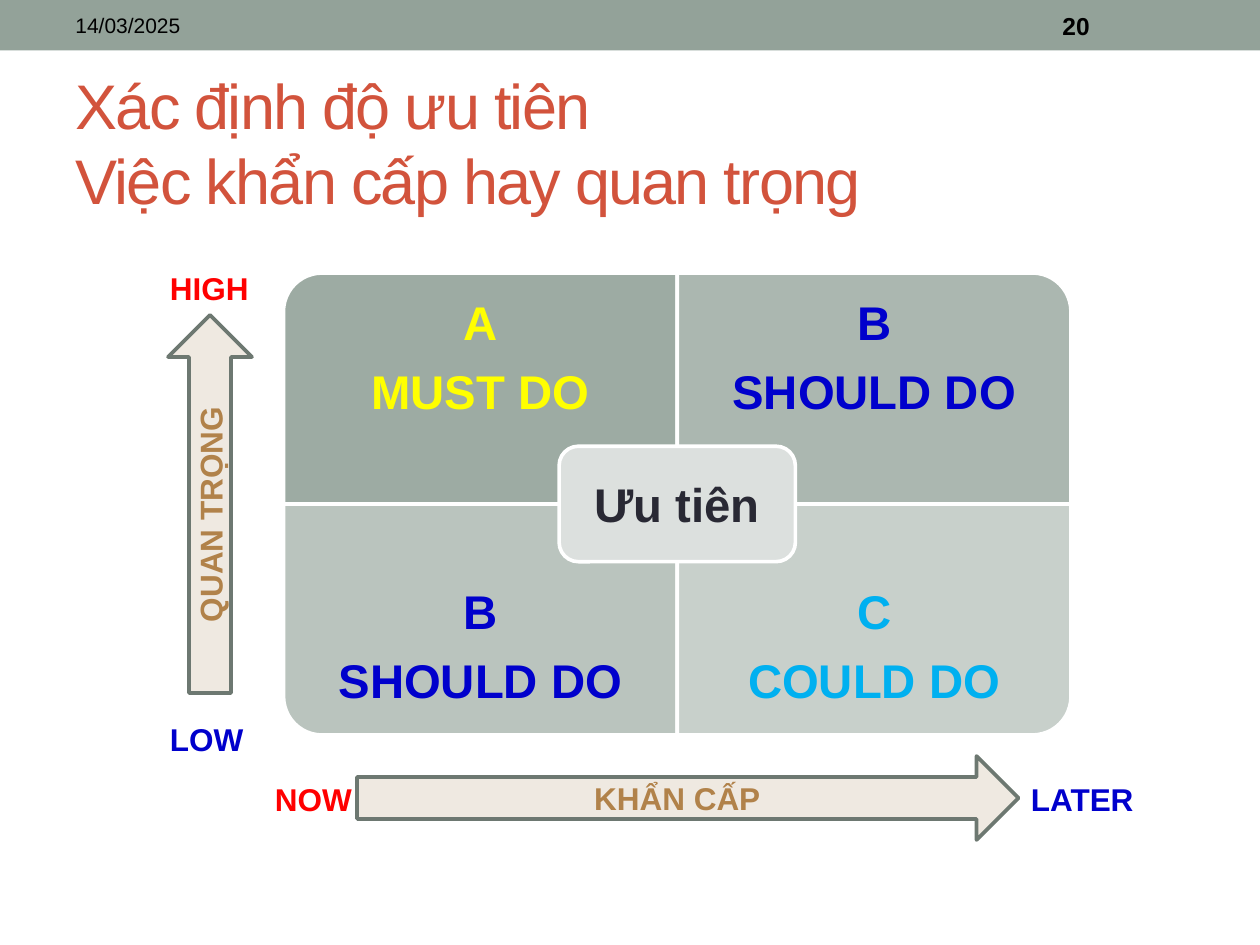
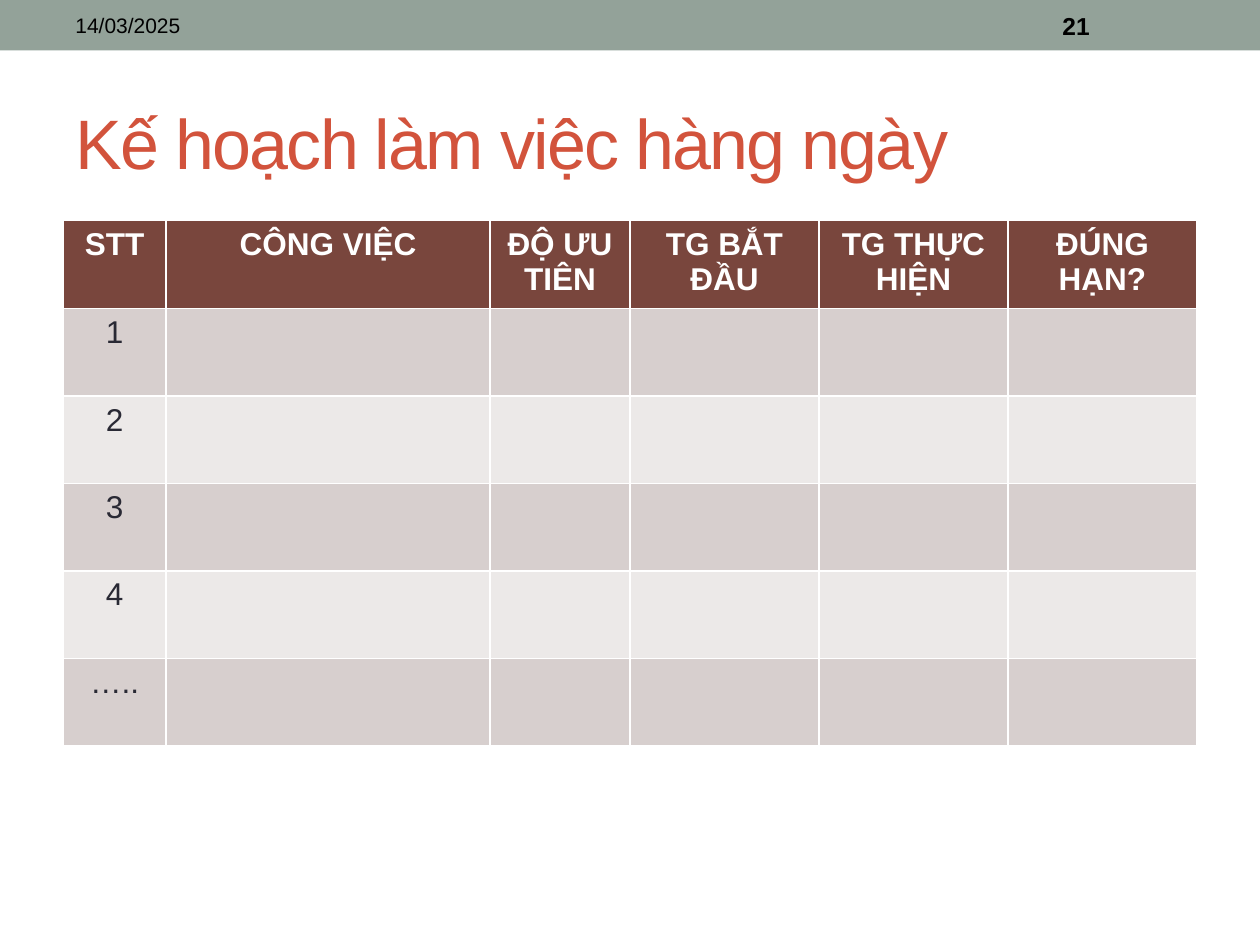
from lxml.etree import SubElement
from pptx import Presentation
from pptx.dml.color import RGBColor
from pptx.enum.shapes import MSO_SHAPE
from pptx.enum.text import MSO_ANCHOR, MSO_AUTO_SIZE, PP_ALIGN
from pptx.oxml.ns import qn
from pptx.util import Pt

SAGE, RUST, WHITE, BLACK, INK = "93A299", "D2533C", "FFFFFF", "000000", "292934"
RED, BLUE, SKY, YELLOW = "FF0000", "0000CC", "00B0F0", "FFFF00"
SAND, BROWN, SLATE, MIST = "EFE9E1", "B1824A", "6D7871", "DCE0DE"
HEAD, BANDS = "79463D", ["ECE9E8", "D7CFCE"]
LEFT, MID = PP_ALIGN.LEFT, PP_ALIGN.CENTER
TOP, CORE = MSO_ANCHOR.TOP, MSO_ANCHOR.MIDDLE


def paint(fill, tone, alpha=None):
    fill.solid()
    fill.fore_color.rgb = RGBColor.from_string(tone)
    if alpha:
        node = fill._xPr.find(qn("a:solidFill"))[0]
        SubElement(node, qn("a:alpha")).set("val", str(alpha * 1000))


def write(frame, lines, tone, size, bold=False, align=LEFT, anchor=CORE, form={}):
    frame.word_wrap = True
    frame.vertical_anchor = anchor
    for i, line in enumerate(lines):
        para = frame.add_paragraph() if i else frame.paragraphs[0]
        para.text = line
        para.alignment = align
        for key, val in form.items():
            setattr(para, key, val)
        for run in para.runs:
            for key, val in {"name": "Arial", "size": Pt(size), "bold": bold}.items():
                setattr(run.font, key, val)
            paint(run.font.fill, tone)


deck = Presentation()
deck.slide_width, deck.slide_height = Pt(720), Pt(540)

titles = [
    (20, "Xác định độ ưu tiên\vViệc khẩn cấp hay quan trọng", 36),
    (21, "Kế hoạch làm việc hàng ngày", 40),
]
for page, text, size in titles:
    slide = deck.slides.add_slide(deck.slide_layouts[5])
    band = slide.shapes.add_shape(MSO_SHAPE.RECTANGLE, 0, 0, Pt(720), Pt(28.8))
    band.shadow.inherit = False
    paint(band.fill, SAGE)
    band.line.fill.background()

    title = slide.shapes.title
    spot = {"left": Pt(36), "top": Pt(42), "width": Pt(648), "height": Pt(78)}
    for key, val in spot.items():
        setattr(title, key, val)
    write(title.text_frame, [text], RUST, size)
    title.text_frame.auto_size = MSO_AUTO_SIZE.NONE
    for run in title.text_frame.paragraphs[0].runs:
        run._r.get_or_add_rPr().set("spc", "-100")

    for left, width, text, size, bold in [
        (36, 228, "14/03/2025", 12, False),
        (600, 84, str(page), 14, True),
    ]:
        box = slide.shapes.add_textbox(Pt(left), Pt(1.5), Pt(width), Pt(26))
        write(box.text_frame, [text], BLACK, size, bold)

grid, plan = deck.slides

wide, high, midx, midy = 225, 132, 387, 288
tight = {"line_spacing": 0.9, "space_after": Pt(10)}
quads = [
    (-1, -1, 270, 90, "A", "MUST DO", YELLOW),
    (1, -1, 0, 77, "B", "SHOULD DO", BLUE),
    (-1, 1, 180, 63, "B", "SHOULD DO", BLUE),
    (1, 1, 90, 50, "C", "COULD DO", SKY),
]
for dx, dy, turn, alpha, mark, text, tone in quads:
    cx, cy = midx + dx * wide / 2, midy + dy * high / 2
    w, h = (high, wide) if turn in (90, 270) else (wide, high)
    quad = grid.shapes.add_shape(
        MSO_SHAPE.ROUND_1_RECTANGLE, Pt(cx - w / 2), Pt(cy - h / 2), Pt(w), Pt(h))
    quad.rotation = turn
    quad.shadow.inherit = False
    paint(quad.fill, SAGE, alpha)
    paint(quad.line.fill, WHITE)
    quad.line.width = Pt(2.08)
    top = midy - high if dy < 0 else midy + high - 99
    box = grid.shapes.add_textbox(Pt(cx - wide / 2), Pt(top), Pt(wide), Pt(99))
    write(box.text_frame, [mark, text], tone, 27, True, MID, form=tight)

parts = [
    (MSO_SHAPE.ROUNDED_RECTANGLE, 319.5, 255, 135, 66, 0, MIST, WHITE, "Ưu tiên", INK, 27),
    (MSO_SHAPE.RIGHT_ARROW, 12, 264, 216, 48, 270, SAND, SLATE, "QUAN TRỌNG", BROWN, 18),
    (MSO_SHAPE.RIGHT_ARROW, 204, 432, 378, 48, 0, SAND, SLATE, "KHẨN CẤP", BROWN, 18),
]
for kind, x, y, w, h, turn, fill, edge, text, tone, size in parts:
    part = grid.shapes.add_shape(kind, Pt(x), Pt(y), Pt(w), Pt(h))
    part.rotation = turn
    part.shadow.inherit = False
    paint(part.fill, fill)
    paint(part.line.fill, edge)
    part.line.width = Pt(2.08)
    write(part.text_frame, [text], tone, size, True, MID)

for x, y, w, text, tone in [
    (150, 442, 66, "NOW", RED),
    (582, 442, 84, "LATER", BLUE),
    (90, 408, 66, "LOW", BLUE),
    (90, 150, 66, "HIGH", RED),
]:
    box = grid.shapes.add_textbox(Pt(x), Pt(y), Pt(w), Pt(29))
    write(box.text_frame, [text], tone, 18, True, anchor=TOP)

heads = ["STT", "CÔNG VIỆC", "ĐỘ ƯU TIÊN", "TG BẮT ĐẦU", "TG THỰC HIỆN", "ĐÚNG HẠN?"]
marks = ["1", "2", "3", "4", "….."]
rows = [heads] + [[mark] + [""] * 5 for mark in marks]
table = plan.shapes.add_table(6, 6, Pt(36), Pt(126), Pt(648), Pt(300)).table
for col, width in zip(table.columns, [59, 185, 80, 108, 108, 108]):
    col.width = Pt(width)
for r, row in enumerate(rows):
    table.rows[r].height = Pt(50)
    for c, text in enumerate(row):
        cell = table.cell(r, c)
        paint(cell.fill, BANDS[r % 2] if r else HEAD)
        write(cell.text_frame, [text], INK if r else WHITE, 18, r == 0, MID, TOP)

deck.save("out.pptx")
